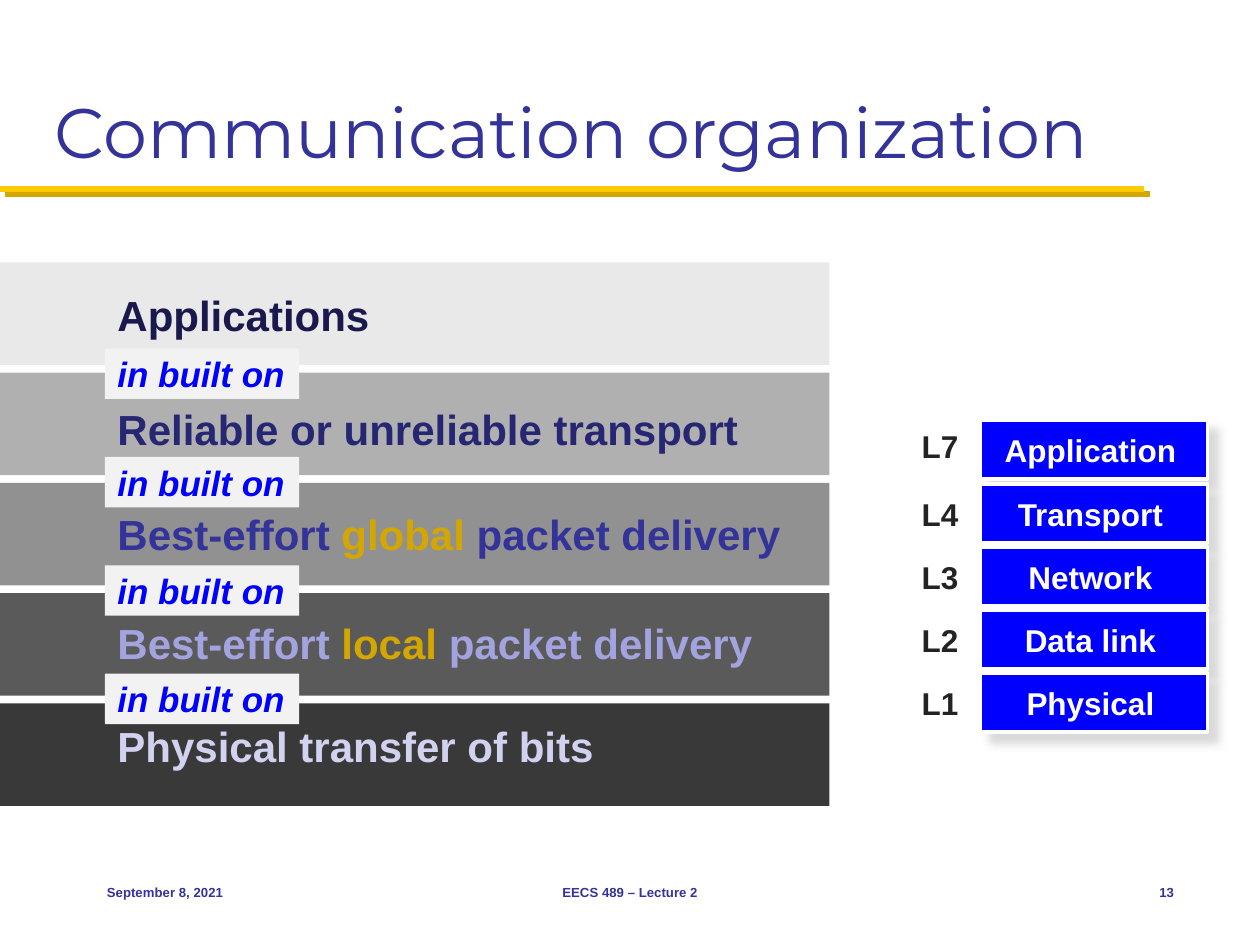
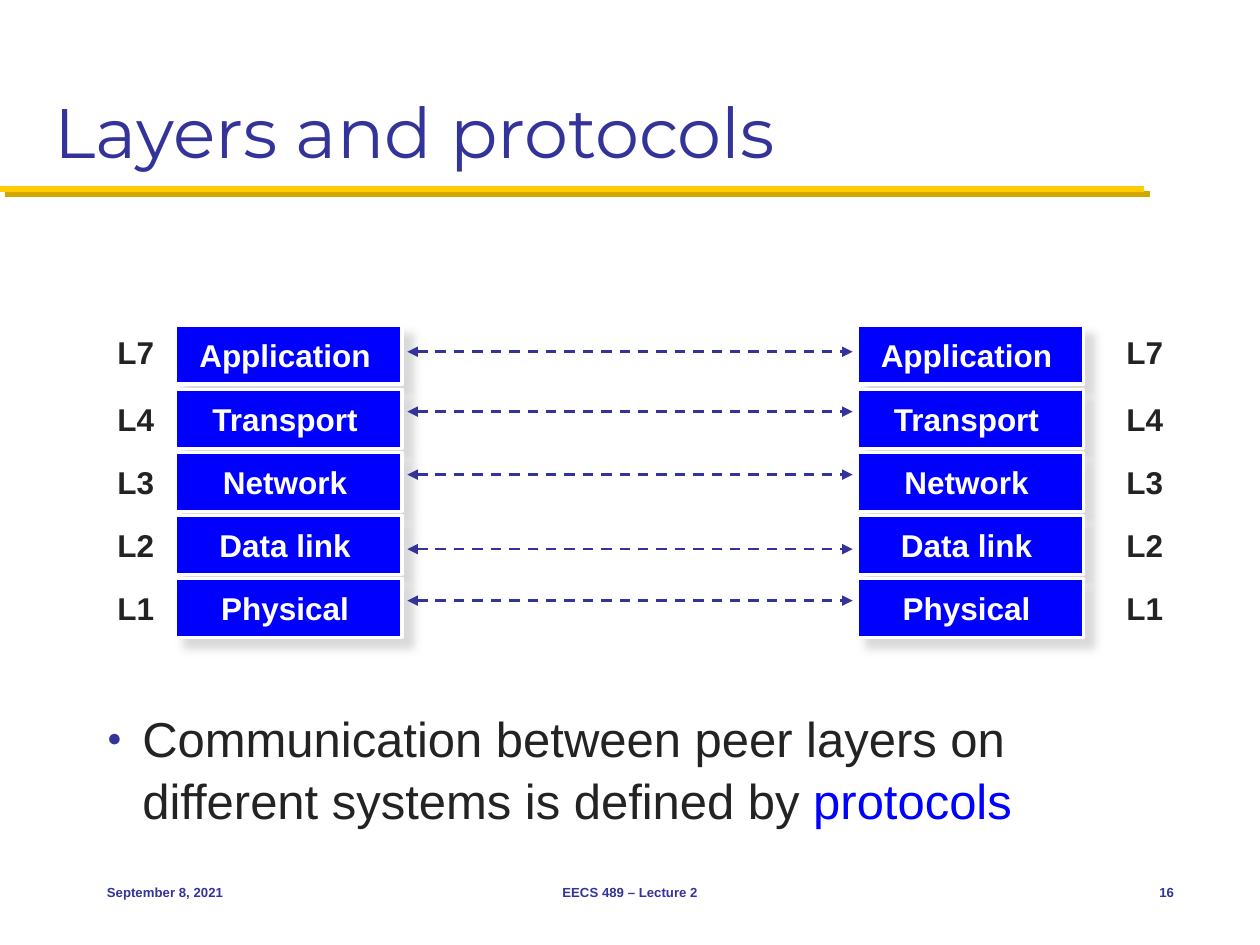
from dataclasses import dataclass
from lxml.etree import SubElement
from pptx import Presentation
from pptx.dml.color import RGBColor
from pptx.enum.dml import MSO_LINE
from pptx.enum.shapes import MSO_CONNECTOR, MSO_SHAPE
from pptx.enum.text import MSO_ANCHOR, MSO_AUTO_SIZE, PP_ALIGN
from pptx.oxml.ns import qn
from pptx.util import Inches, Pt

COLUMNS, ROWS = 120, 90
CELL = Inches(10) // COLUMNS
TITLE_FONT, BODY_FONT = "Montserrat", "Arial"
COLORS = {
    "white": "FFFFFF", "navy": "333399", "blue": "0000FF", "ink": "232323",
    "maize": "FFCB05", "gold": "D3A600", "shadow": "CECECE", "tag": "F2F2F2",
    "band_1": "E9E9E9", "band_2": "B0B0B0", "band_3": "919191",
    "band_4": "5A5A5A", "band_5": "393939",
    "text_1": "19194D", "text_2": "262673", "text_3": "333399",
    "text_4": "A3A3E0", "text_5": "D1D1F0",
}


@dataclass(frozen=True)
class Box:
    column: float
    row: float
    columns: float
    rows: float

    def lengths(self):
        return [cells(value) for value in (self.column, self.row, self.columns, self.rows)]


@dataclass(frozen=True)
class TextStyle:
    size: float
    color: str
    bold: bool = True
    italic: bool = False
    font: str = BODY_FONT
    align: PP_ALIGN = PP_ALIGN.LEFT
    anchor: MSO_ANCHOR = MSO_ANCHOR.MIDDLE


@dataclass(frozen=True)
class Shadow:
    color: str
    opacity: int
    blur: float
    distance: float


@dataclass(frozen=True)
class Band:
    runs: tuple
    text_row: float


@dataclass(frozen=True)
class Layer:
    label: str
    name: str
    row: float
    label_row: float
    arrow_row: float


TITLE = TextStyle(40, "navy", bold=False, font=TITLE_FONT, anchor=MSO_ANCHOR.BOTTOM)
BODY = TextStyle(28, "ink", bold=False, anchor=MSO_ANCHOR.BOTTOM)
TAG = TextStyle(20, "blue", italic=True)
LAYER_NAME = TextStyle(18, "white", align=PP_ALIGN.CENTER)
LAYER_LABEL = TextStyle(18, "ink")
RULE_SHADOW = Shadow("gold", 100, 0, 4.2)
LAYER_SHADOW = Shadow("shadow", 75, 5, 8)

BANDS = (
    Band((("Applications", None),), 27),
    Band((("Reliable or unreliable transport", None),), 37.8),
    Band((("Best-effort ", None), ("global", "gold"), (" packet delivery", None)), 47.8),
    Band((("Best-effort ", None), ("local", "gold"), (" packet delivery", None)), 58.2),
    Band((("Physical transfer of bits", None),), 68),
)
LAYERS = (
    Layer("L7", "Application", 0, 0.1, 2.5),
    Layer("L4", "Transport", 6.1, 6.5, 8.2),
    Layer("L3", "Network", 12.1, 12.5, 14.2),
    Layer("L2", "Data link", 18.1, 18.5, 21.3),
    Layer("L1", "Physical", 24.1, 24.5, 26.2),
)


def cells(count: float) -> int:
    return round(count * CELL)


def rgb(name: str) -> RGBColor:
    return RGBColor.from_string(COLORS[name])


def write(shape, runs: tuple, style: TextStyle):
    frame = shape.text_frame
    frame.word_wrap = True
    frame.auto_size = MSO_AUTO_SIZE.NONE
    frame.vertical_anchor = style.anchor
    paragraph = frame.paragraphs[0]
    paragraph.alignment = style.align
    font = paragraph.font
    font.name, font.size = style.font, Pt(style.size)
    font.bold, font.italic = style.bold, style.italic
    font.color.rgb = rgb(style.color)
    for text, color in runs:
        for index, line in enumerate(text.split("\n")):
            if index:
                paragraph.add_line_break()
            run = paragraph.add_run()
            run.text = line
            if color:
                run.font.color.rgb = rgb(color)
    return paragraph


def add_text(slide, box: Box, runs: tuple, style: TextStyle) -> None:
    write(slide.shapes.add_textbox(*box.lengths()), runs, style)


def add_rectangle(slide, box: Box, fill: str):
    shape = slide.shapes.add_shape(MSO_SHAPE.RECTANGLE, *box.lengths())
    shape.shadow.inherit = False
    shape.fill.solid()
    shape.fill.fore_color.rgb = rgb(fill)
    shape.line.fill.background()
    return shape


def add_line(slide, start: float, end: float, row: float, color: str, width: float):
    line = slide.shapes.add_connector(
        MSO_CONNECTOR.STRAIGHT, cells(start), cells(row), cells(end), cells(row))
    line.line.color.rgb = rgb(color)
    line.line.width = Pt(width)
    SubElement(line._element.spPr, qn("a:effectLst"))
    return line


def cast_shadow(shape, shadow: Shadow) -> None:
    effects = shape._element.spPr.find(qn("a:effectLst"))
    outer = SubElement(effects, qn("a:outerShdw"), blurRad=str(Pt(shadow.blur)),
                       dist=str(Pt(shadow.distance)), dir=str(45 * 60000),
                       algn="tl", rotWithShape="0")
    color = SubElement(outer, qn("a:srgbClr"), val=COLORS[shadow.color])
    SubElement(color, qn("a:alpha"), val=str(shadow.opacity * 1000))


def place(placeholder, box: Box) -> None:
    placeholder.left, placeholder.top, placeholder.width, placeholder.height = box.lengths()


def add_slide(presentation, layout: int, title: str, number: int):
    slide = presentation.slides.add_slide(presentation.slide_layouts[layout])
    place(slide.shapes.title, Box(4, 2, 112, 15))
    write(slide.shapes.title, ((title, None),), TITLE)
    cast_shadow(add_line(slide, 0, 109, 18, "maize", 3.5), RULE_SHADOW)
    footers = (
        (9, 25, "September 8, 2021", PP_ALIGN.LEFT),
        (41, 38, "EECS 489 – Lecture 2", PP_ALIGN.CENTER),
        (105, 8, str(number), PP_ALIGN.RIGHT),
    )
    for column, columns, text, align in footers:
        add_text(slide, Box(column, 82, columns, 6), ((text, None),),
                 TextStyle(7.5, "navy", align=align))
    return slide


def add_stack(slide, column: float, label_column: float, row: float) -> None:
    for layer in LAYERS:
        box = add_rectangle(slide, Box(column, row + layer.row, 21.6, 5.6), "blue")
        box.line.color.rgb = rgb("white")
        box.line.width = Pt(2)
        cast_shadow(box, LAYER_SHADOW)
        write(box, ((layer.name, None),), LAYER_NAME)
        box.text_frame.margin_left, box.text_frame.margin_right = Inches(0.04), Inches(0.1)
        label = add_rectangle(slide, Box(label_column, row + layer.label_row, 6, 4.8), "white")
        write(label, ((layer.label, None),), LAYER_LABEL)


def add_bands(slide) -> None:
    for index, band in enumerate(BANDS):
        add_rectangle(slide, Box(0, 25 + 10.5 * index, 79, 9.75), f"band_{index + 1}")
    for index, band in enumerate(BANDS, 1):
        add_text(slide, Box(10, band.text_row, 68, 6), band.runs,
                 TextStyle(24, f"text_{index}"))
    for index in range(len(BANDS) - 1):
        tag = add_rectangle(slide, Box(10, 33.2 + 10.32 * index, 18.5, 4.8), "tag")
        write(tag, (("in built on", None),), TAG)


def add_peer_arrows(slide, row: float) -> None:
    for layer in LAYERS:
        arrow = add_line(slide, 38.8, 81.2, row + layer.arrow_row, "navy", 1.5)
        arrow.line.dash_style = MSO_LINE.DASH
        outline = arrow.line._get_or_add_ln()
        for end in ("a:headEnd", "a:tailEnd"):
            SubElement(outline, qn(end), type="triangle")


def add_bullet(placeholder, runs: tuple) -> None:
    place(placeholder, Box(9, 21, 104, 58))
    paragraph = write(placeholder, runs, BODY)
    placeholder.text_frame.margin_bottom = 0
    paragraph.line_spacing = 1.05
    properties = paragraph._p.get_or_add_pPr()
    properties.set("marL", str(Inches(0.28)))
    properties.set("indent", str(-Inches(0.28)))
    bullet_color = properties.makeelement(qn("a:buClr"))
    SubElement(bullet_color, qn("a:srgbClr"), val=COLORS["navy"])
    bullet_size = properties.makeelement(qn("a:buSzPct"), val="50000")
    bullet_font = properties.makeelement(qn("a:buFont"), typeface=BODY_FONT)
    bullet = properties.makeelement(qn("a:buChar"), char="●")
    for element in (bullet_color, bullet_size, bullet_font, bullet):
        properties.find(qn("a:defRPr")).addprevious(element)


def build_organization(presentation) -> None:
    slide = add_slide(presentation, 5, "Communication organization", 13)
    add_bands(slide)
    add_stack(slide, 93.4, 86.6, 40)


def build_protocols(presentation) -> None:
    slide = add_slide(presentation, 1, "Layers and protocols", 16)
    add_bullet(slide.placeholders[1], (
        ("Communication between peer layers on\ndifferent systems is defined by ", None),
        ("protocols", "blue"),
    ))
    add_stack(slide, 16.7, 10, 31)
    add_peer_arrows(slide, 31)
    add_stack(slide, 81.6, 106.1, 31)


presentation = Presentation()
presentation.slide_width = cells(COLUMNS)
presentation.slide_height = cells(ROWS)
build_organization(presentation)
build_protocols(presentation)
presentation.save("out.pptx")
